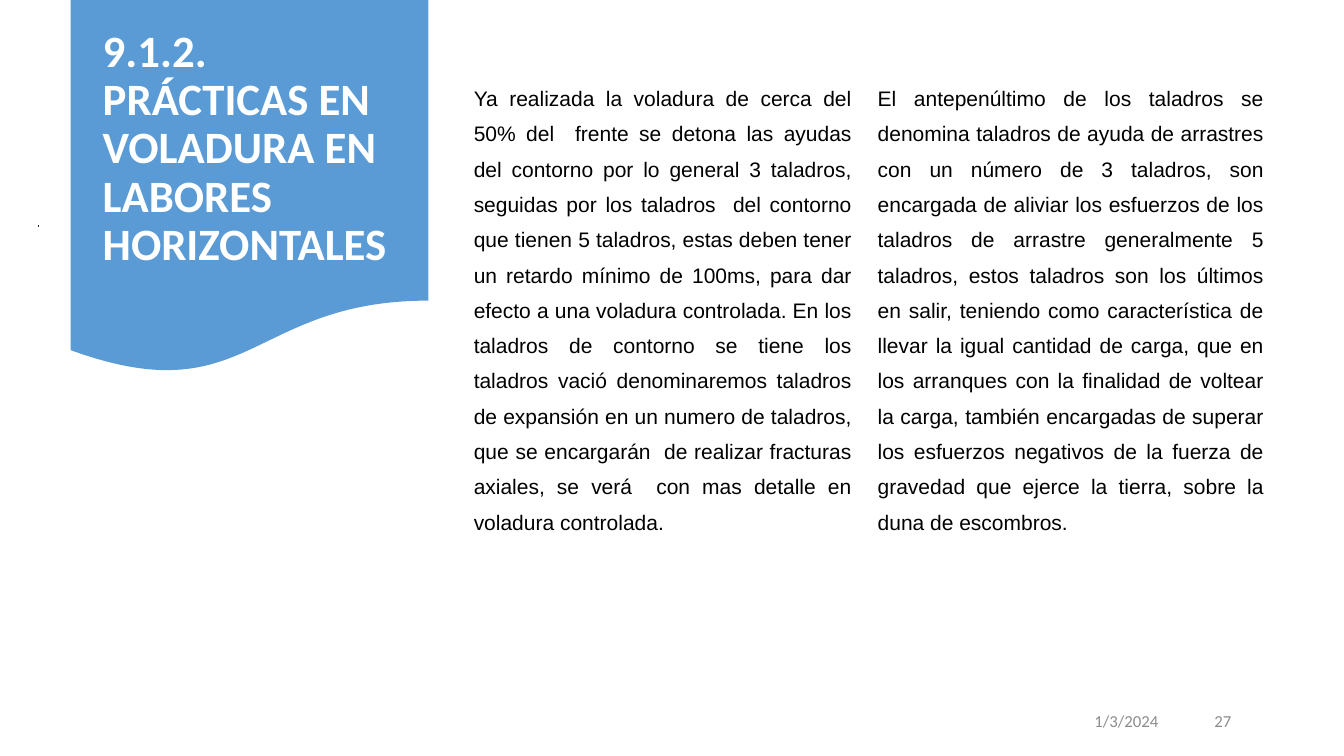
from dataclasses import dataclass

import pptx
import pptx.dml.color
import pptx.enum.shapes
import pptx.enum.text
import pptx.oxml.ns
import pptx.util

Pt = pptx.util.Pt
RGB = pptx.dml.color.RGBColor.from_string
SHAPE = pptx.enum.shapes.MSO_SHAPE
ALIGN = pptx.enum.text.PP_ALIGN
ANCHOR = pptx.enum.text.MSO_ANCHOR


@dataclass(frozen=True)
class Theme:
    accent: str = "5B9BD5"
    ink: str = "000000"
    light: str = "FFFFFF"
    muted: str = "8C8C8C"
    heading_font: str = "Calibri"
    body_font: str = "Arial"
    title_size: float = 32
    body_size: float = 15
    footer_size: float = 12


THEME = Theme()

TITLE = "9.1.2. PRÁCTICAS EN VOLADURA EN LABORES HORIZONTALES"
COLUMN_LEFT = (
    "Ya realizada la voladura de cerca del 50% del  frente se detona las ayudas "
    "del contorno por lo general 3 taladros, seguidas por los taladros  del contorno "
    "que tienen 5 taladros, estas deben tener un retardo mínimo de 100ms, para dar "
    "efecto a una voladura controlada. En los taladros de contorno se tiene los "
    "taladros vació denominaremos taladros de expansión en un numero de taladros, "
    "que se encargarán  de realizar fracturas axiales, se verá  con mas detalle en "
    "voladura controlada."
)
COLUMN_RIGHT = (
    "El antepenúltimo de los taladros se denomina taladros de ayuda de arrastres "
    "con un número de 3 taladros, son encargada de aliviar los esfuerzos de los "
    "taladros de arrastre generalmente 5 taladros, estos taladros son los últimos "
    "en salir, teniendo como característica de llevar la igual cantidad de carga, "
    "que en los arranques con la finalidad de voltear la carga, también encargadas "
    "de superar los esfuerzos negativos de la fuerza de gravedad que ejerce la "
    "tierra, sobre la duna de escombros."
)


def place(sp, left, top, width, height):
    sp.left, sp.top, sp.width, sp.height = Pt(left), Pt(top), Pt(width), Pt(height)


def write(sp, text, font, size, color, bold=False, align=ALIGN.LEFT,
          spacing=1.0, anchor=ANCHOR.MIDDLE):
    """Fill a shape with one formatted paragraph without a bullet."""
    tf = sp.text_frame
    tf.word_wrap = True
    tf.auto_size = pptx.enum.text.MSO_AUTO_SIZE.NONE
    tf.vertical_anchor = anchor
    p = tf.paragraphs[0]
    pPr = p._p.get_or_add_pPr()
    pPr.set("marL", "0")
    pPr.set("indent", "0")
    pPr.append(pptx.oxml.parse_xml(
        "<a:buNone %s/>" % pptx.oxml.ns.nsdecls("a")))
    p.alignment = align
    p.line_spacing = spacing
    p.space_before = Pt(0)
    r = p.add_run()
    r.text = text
    r.font.name = font
    r.font.size = Pt(size)
    r.font.bold = bold
    r.font.color.rgb = RGB(color)


def add_block(s, kind, left, top, width, height, line=None):
    sp = s.shapes.add_shape(kind, Pt(left), Pt(top), Pt(width), Pt(height))
    sp.shadow.inherit = False
    sp.fill.solid()
    sp.fill.fore_color.rgb = RGB(THEME.accent)
    if line:
        sp.line.color.rgb = RGB(line)
        sp.line.width = Pt(0.75)
    else:
        sp.line.fill.background()
    return sp


def add_column(sp, text, left, width):
    place(sp, left, 50.4, width, 439.2)
    write(sp, text, THEME.body_font, THEME.body_size, THEME.ink,
          align=ALIGN.JUSTIFY, spacing=1.4, anchor=ANCHOR.TOP)


def add_footer(s, text, left, width, align):
    sp = s.shapes.add_textbox(Pt(left), Pt(500.4), Pt(width), Pt(28.8))
    write(sp, text, THEME.heading_font, THEME.footer_size, THEME.muted, align=align)


def main():
    prs = pptx.Presentation()
    prs.slide_width, prs.slide_height = Pt(960), Pt(540)
    s = prs.slides.add_slide(prs.slide_layouts.get_by_name("Two Content"))
    title, left_body, right_body = s.placeholders

    # Banner goes behind the title
    banner = add_block(s, SHAPE.FLOWCHART_DOCUMENT, 50.4, 0, 255.6, 267.8)
    title._element.addprevious(banner._element)
    place(title, 66.2, 13.5, 223.9, 186.5)
    write(title, TITLE, THEME.heading_font, THEME.title_size, THEME.light,
          bold=True, spacing=0.9)

    # Text columns
    add_column(left_body, COLUMN_LEFT, 331.2, 284.4)
    add_column(right_body, COLUMN_RIGHT, 619.7, 290.2)

    # Small dot at the left edge
    add_block(s, SHAPE.RECTANGLE, 27.4, 161.3, 0.25, 0.25, line=THEME.ink)

    # Date and slide number
    add_footer(s, "1/3/2024", 633, 201.6, ALIGN.RIGHT)
    add_footer(s, "27", 860.4, 49, ALIGN.LEFT)

    prs.save("out.pptx")


if __name__ == "__main__":
    main()
